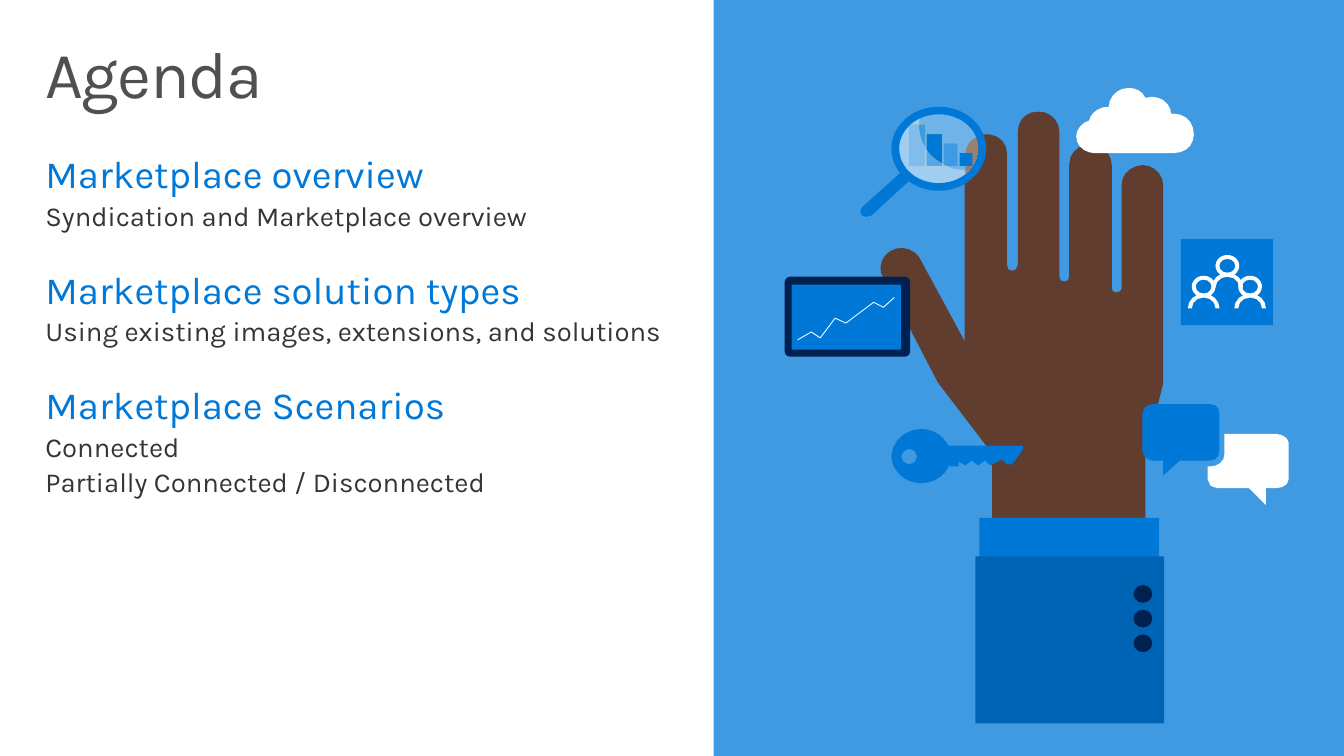
from pptx import Presentation
from pptx.dml.color import RGBColor
from pptx.enum.shapes import MSO_SHAPE
from pptx.enum.text import MSO_ANCHOR, PP_ALIGN
from pptx.util import Inches, Pt

COLORS = {
    "title": "505050", "text": "353535", "blue": "0078D7", "sky": "409AE1", "skin": "613D30",
    "white": "FFFFFF", "navy": "002050", "sleeve": "0064B5", "lens": "70B3E9", "shine": "A0CDF0",
    "lime": "BAD80A", "teal": "008272", "pale": "81BCEB", "mid": "57A6E5", "blend": "977F76",
}
AGENDA = {
    "Marketplace overview": ["Syndication and Marketplace overview"],
    "Marketplace solution types": ["Using existing images, extensions, and solutions"],
    "Marketplace Scenarios": ["Connected", "Partially Connected / Disconnected"],
}
# Outlines in inches: M moves, L draws lines, C draws Bezier curves
HAND = """M 11.77 1.87 C 11.77 1.76 11.67 1.67 11.56 1.67 11.44 1.68 11.35 1.76 11.35 1.87
L 11.35 2.92 C 11.35 2.94 11.33 2.96 11.29 2.96 11.27 2.96 11.25 2.94 11.25 2.92
L 11.25 1.67 C 11.25 1.56 11.16 1.47 11.05 1.46 10.93 1.45 10.82 1.54 10.82 1.66
L 10.82 2.8 C 10.82 2.83 10.8 2.85 10.77 2.85 10.74 2.85 10.72 2.83 10.72 2.8
L 10.72 1.33 C 10.72 1.22 10.62 1.12 10.5 1.13 10.39 1.13 10.3 1.21 10.3 1.33
L 10.3 2.68 C 10.3 2.72 10.27 2.74 10.24 2.74 10.21 2.74 10.19 2.72 10.19 2.68
L 10.19 1.55 C 10.19 1.43 10.08 1.34 9.94 1.36 9.84 1.38 9.76 1.46 9.76 1.56
L 9.76 3.45 9.3 2.6 C 9.23 2.51 9.11 2.48 9.01 2.54 8.91 2.6 8.88 2.73 8.94 2.81
L 9.49 3.87 10.04 4.59 10.04 5.24 11.59 5.24 11.59 4.61 11.77 3.88"""
KEY = """M 9.28 4.62 C 9.28 4.66 9.25 4.7 9.2 4.7 9.16 4.7 9.12 4.66 9.12 4.62
9.12 4.58 9.16 4.54 9.2 4.54 9.25 4.54 9.28 4.58 9.28 4.62
M 9.02 4.62 C 9.02 4.71 9.08 4.79 9.15 4.84 9.2 4.87 9.26 4.89 9.32 4.89
9.44 4.89 9.56 4.82 9.6 4.72 L 9.7 4.72 9.7 4.67 9.77 4.71 9.83 4.66 9.9 4.71
9.97 4.66 10.02 4.71 10.14 4.65 10.19 4.7 10.24 4.7 10.35 4.55 10.35 4.51 9.6 4.51
C 9.59 4.5 9.59 4.49 9.58 4.48 9.52 4.39 9.43 4.34 9.32 4.34 9.16 4.34 9.02 4.47 9.02 4.62"""
CLOUD = """M 11.02 1.22 C 11.04 1.14 11.12 1.08 11.22 1.08 11.22 0.98 11.31 0.89 11.42 0.89
11.49 0.89 11.56 0.92 11.59 0.99 11.62 0.99 11.63 0.98 11.66 0.98 11.76 0.98 11.85 1.06 11.85 1.15
L 11.87 1.15 C 12 1.15 12.08 1.24 12.08 1.36 12.08 1.47 12 1.55 11.87 1.55
L 11.08 1.55 C 10.98 1.55 10.89 1.48 10.89 1.38 10.89 1.31 10.95 1.24 11.02 1.22"""
HANDLE = """M 8.82 2.18 L 9.21 1.82 9.12 1.74 8.72 2.1
C 8.7 2.12 8.7 2.16 8.72 2.18 8.74 2.2 8.79 2.2 8.82 2.18"""
CHAT = """M 12.25 4.09 L 11.66 4.09 C 11.61 4.09 11.56 4.13 11.56 4.19 L 11.56 4.56
C 11.56 4.61 11.61 4.66 11.66 4.66 L 11.77 4.66 11.77 4.81 11.94 4.66 12.25 4.66
C 12.31 4.66 12.34 4.61 12.34 4.56 L 12.34 4.19 C 12.34 4.13 12.31 4.09 12.25 4.09"""
REPLY = """M 12.91 4.39 L 12.39 4.39 12.39 4.6 C 12.39 4.67 12.32 4.72 12.25 4.72
L 12.22 4.72 12.22 4.85 C 12.22 4.91 12.27 4.94 12.32 4.94 L 12.64 4.94 12.81 5.11
12.81 4.94 12.91 4.94 C 12.97 4.94 13.04 4.91 13.04 4.85 L 13.04 4.48
C 13.04 4.43 12.97 4.39 12.91 4.39"""
TREND = "M 8.07 3.44 L 8.21 3.36 8.3 3.42 8.45 3.22 8.56 3.27 8.84 3.06 8.94 3.11 9.05 3.01"
SHINE = """M 9.8 1.73 C 9.52 1.73 9.3 1.53 9.3 1.29 9.3 1.25 9.3 1.22 9.31 1.19
9.19 1.25 9.1 1.37 9.1 1.5 9.1 1.7 9.28 1.86 9.5 1.86 9.62 1.86 9.73 1.81 9.81 1.73"""
TINTS = [
    ("sky", "M 9.36 1.26 L 9.3 1.26 C 9.3 1.35 9.32 1.43 9.36 1.48"),
    ("blue", "M 9.53 1.36 L 9.38 1.36 9.38 1.52 C 9.41 1.57 9.47 1.63 9.53 1.66"),
    ("sky", "M 9.69 1.45 L 9.55 1.45 9.55 1.66 9.58 1.68 9.69 1.68"),
    ("pale", "M 9.21 1.26 L 9.2 1.26 9.2 1.28"),
    ("pale", "M 9.3 1.26 L 9.2 1.26 9.2 1.68 9.36 1.68 9.36 1.48 C 9.32 1.43 9.3 1.35 9.3 1.26"),
    ("mid", "M 9.38 1.52 L 9.38 1.68 9.53 1.68 9.53 1.65 C 9.47 1.62 9.41 1.57 9.38 1.52"),
    ("pale", "M 9.55 1.67 L 9.55 1.68 9.58 1.68"),
]
OVERLAP = """M 9.77 1.77 L 9.77 1.56 C 9.77 1.49 9.81 1.42 9.88 1.39
9.89 1.42 9.9 1.46 9.9 1.5 9.9 1.6 9.84 1.71 9.77 1.77"""
# Measured from the middle of the head
TORSO = """M 0.16 0.22 L 0.12 0.22 C 0.12 0.16 0.07 0.11 0 0.11 -0.07 0.11 -0.12 0.16 -0.12 0.22
L -0.16 0.22 C -0.16 0.14 -0.09 0.07 0 0.07 0.09 0.07 0.16 0.14 0.16 0.22"""


def rgb(name):
    return RGBColor.from_string(COLORS[name])


def paint(shape, color):
    shape.shadow.inherit = False
    shape.fill.solid()
    shape.fill.fore_color.rgb = rgb(color)
    shape.line.fill.background()


def add_form(slide, color, *place, kind=MSO_SHAPE.RECTANGLE, bend=None):
    shape = slide.shapes.add_shape(kind, *map(Inches, place))
    paint(shape, color)
    if bend is not None:
        shape.adjustments[0] = bend


def curve(start, one, two, end):
    """Points along a cubic Bezier curve, more of them on a longer one."""
    steps = min(5, max(2, round(25 * max(abs(end[0] - start[0]), abs(end[1] - start[1])))))
    for t in (step / steps for step in range(1, steps + 1)):
        yield tuple((1 - t) ** 3 * a + 3 * (1 - t) ** 2 * t * b + 3 * (1 - t) * t ** 2 * c
                    + t ** 3 * d for a, b, c, d in zip(start, one, two, end))


def trace(outline):
    """Turn an outline string into lists of points, one per contour."""
    contours = []
    for mode in "MLC":
        outline = outline.replace(mode, "/" + mode)
    for part in outline.split("/")[1:]:
        nums = [float(word) for word in part[1:].split()]
        spots = list(zip(nums[::2], nums[1::2]))
        if part[0] == "M":
            contours.append(spots)
        elif part[0] == "L":
            contours[-1].extend(spots)
        else:
            for n in range(0, len(spots), 3):
                contours[-1].extend(curve(contours[-1][-1], *spots[n:n + 3]))
    return contours


def add_path(slide, color, outline, x=0, y=0, closed=True):
    pen = None
    for contour in trace(outline):
        first, *rest = [(Inches(x + a), Inches(y + b)) for a, b in contour]
        if pen:
            pen.move_to(*first)
        else:
            pen = slide.shapes.build_freeform(*first, scale=1.0)
        pen.add_line_segments(rest, close=closed)
    shape = pen.convert_to_shape()
    paint(shape, color)
    if not closed:
        shape.fill.background()
        shape.line.color.rgb = rgb(color)
        shape.line.width = Pt(0.63)


def set_frame(shape, *place):
    shape.left, shape.top, shape.width, shape.height = map(Inches, place)
    frame = shape.text_frame
    frame.word_wrap = True
    frame.vertical_anchor = MSO_ANCHOR.TOP
    frame.margin_left = frame.margin_right = Inches(0.16)
    frame.margin_top = frame.margin_bottom = Inches(0.1)
    return frame


def set_text(para, text, size, color, before=0):
    para.text, para.alignment = text, PP_ALIGN.LEFT
    para.line_spacing, para.space_before = 0.9, Pt(before)
    para.font.name, para.font.size = "Karla", Pt(size)
    para.font.color.rgb = rgb(color)


def add_agenda(slide):
    title = set_frame(slide.shapes.title, 0.3, 0.32, 13, 1).paragraphs[0]
    set_text(title, "Agenda", 48, "title")
    title.runs[0].font._element.set("spc", "-100")
    frame = set_frame(slide.shapes.add_textbox(0, 0, 0, 0), 0.3, 1.47, 6.87, 5.08)
    for n, (head, items) in enumerate(AGENDA.items()):
        para = frame.add_paragraph() if n else frame.paragraphs[0]
        set_text(para, head, 28, "blue", 28.2 if n else 0)
        for item in items:
            set_text(frame.add_paragraph(), item, 20, "text", 4.2)


def add_people(slide):
    add_form(slide, "blue", 11.95, 2.42, 0.93, 0.87)
    for x, y in [(12.42, 2.69), (12.18, 2.9), (12.65, 2.9)]:
        add_form(slide, "white", x - 0.12, y - 0.11, 0.24, 0.22, kind=MSO_SHAPE.DONUT, bend=0.18)
        add_path(slide, "white", TORSO, x, y)


def add_lens(slide):
    add_form(slide, "lens", 9.1, 1.15, 0.8, 0.71, kind=MSO_SHAPE.OVAL)
    add_path(slide, "shine", SHINE)
    for color, left, top, width in [("lime", 9.2, 1.26, 0.16), ("teal", 9.38, 1.36, 0.15),
                                    ("lime", 9.55, 1.45, 0.14)]:
        add_form(slide, color, left, top, width, 1.68 - top)
    for color, outline in TINTS:
        add_path(slide, color, outline)
    add_form(slide, "blue", 9.02, 1.08, 0.96, 0.85, kind=MSO_SHAPE.DONUT, bend=0.09)
    add_path(slide, "blend", OVERLAP)
    add_form(slide, "blue", 9.71, 1.55, 0.13, 0.13)


def main():
    deck = Presentation()
    deck.slide_width, deck.slide_height = Inches(13.6), Inches(7.65)
    slide = deck.slides.add_slide(deck.slide_layouts[5])
    add_agenda(slide)
    add_form(slide, "sky", 7.22, 0, 6.38, 7.65)
    add_path(slide, "skin", HAND)
    add_path(slide, "blue", KEY)
    add_people(slide)
    for color, outline in zip(["white", "blue"] * 2, [CLOUD, HANDLE, REPLY, CHAT]):
        add_path(slide, color, outline)
    add_form(slide, "navy", 7.94, 2.8, 1.27, 0.81, kind=MSO_SHAPE.ROUNDED_RECTANGLE, bend=0.07)
    add_form(slide, "blue", 8.01, 2.88, 1.11, 0.66)
    add_path(slide, "white", TREND, closed=False)
    add_form(slide, "blue", 9.91, 5.24, 1.82, 0.58)
    add_form(slide, "sleeve", 9.87, 5.63, 1.91, 1.69)
    for n in range(3):
        add_form(slide, "navy", 11.47, 5.92 + 0.25 * n, 0.19, 0.18, kind=MSO_SHAPE.OVAL)
    deck_lens = add_lens
    deck_lens(slide)
    deck.save("out.pptx")


if __name__ == "__main__":
    main()
